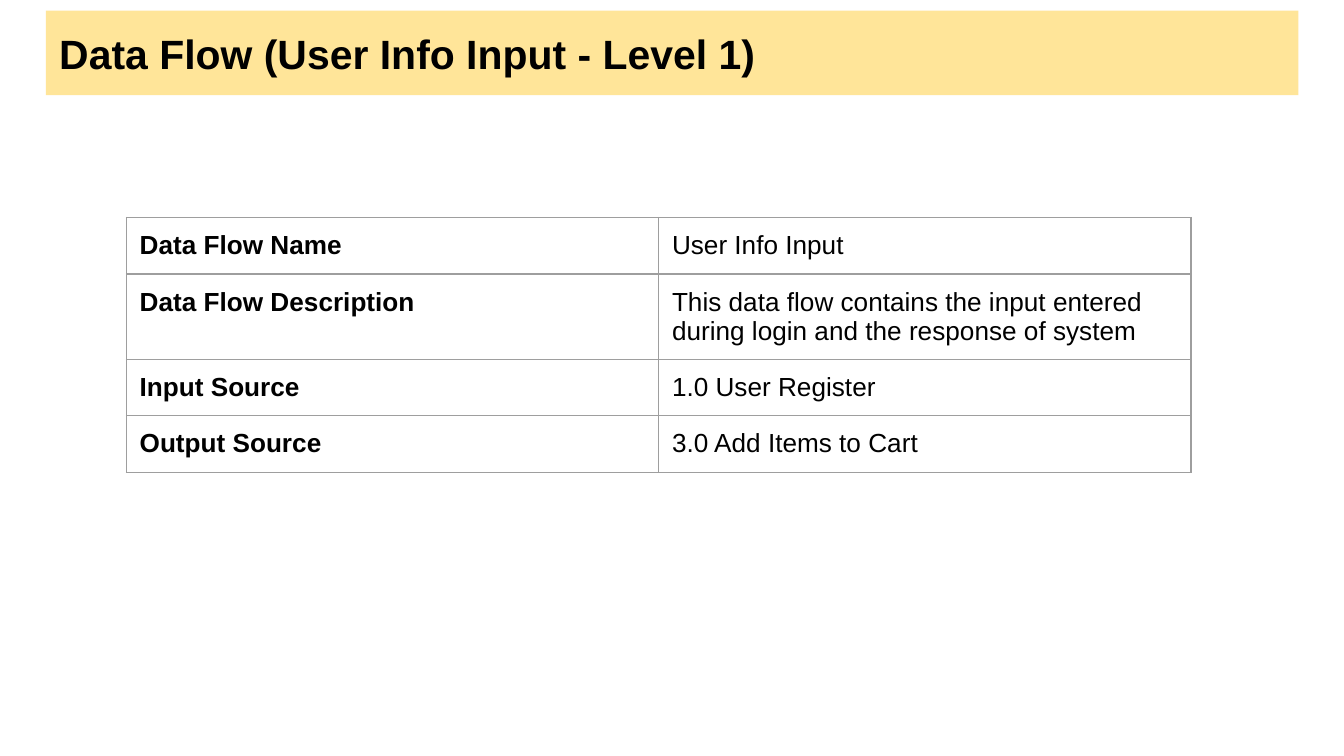
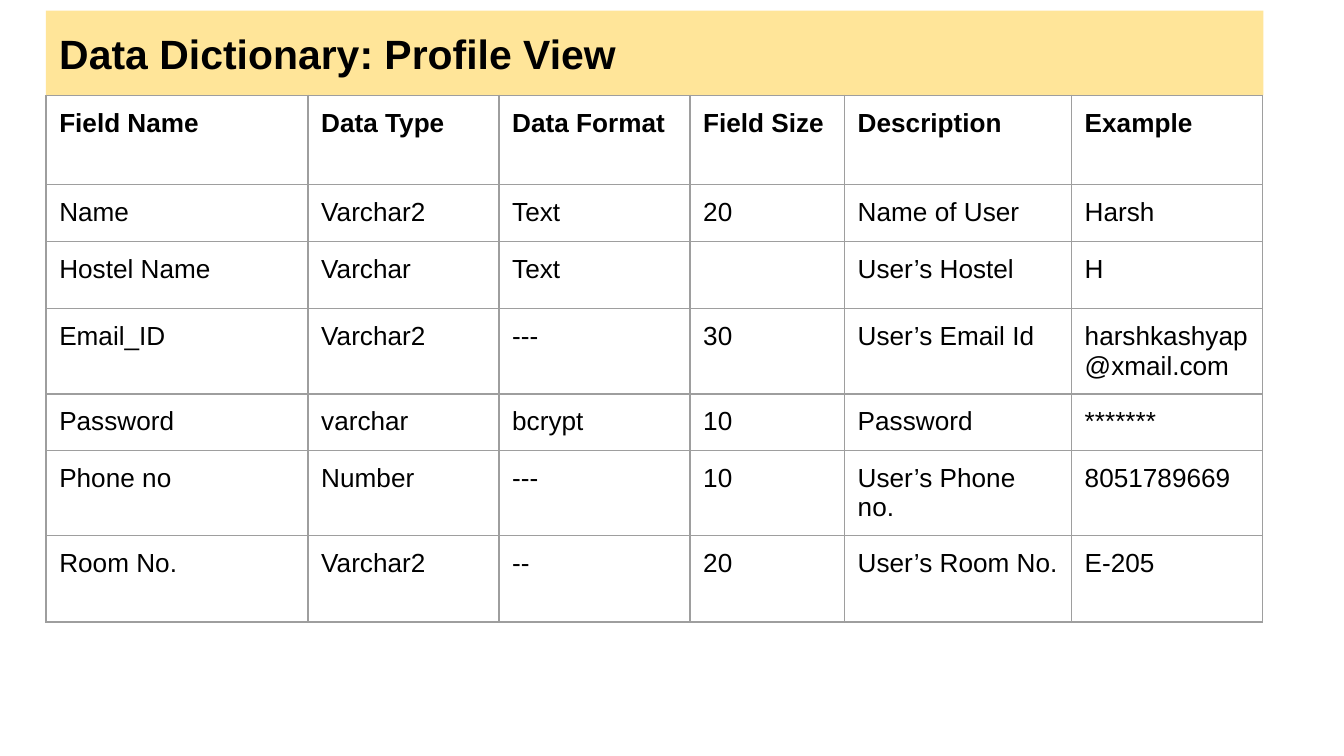
from lxml.etree import SubElement
from pptx import Presentation
from pptx.dml.color import RGBColor
from pptx.enum.shapes import MSO_SHAPE as Shape
from pptx.enum.text import MSO_ANCHOR as Anchor, PP_ALIGN as Align
from pptx.oxml.ns import qn
from pptx.util import Cm, Pt


def color(value):
    return RGBColor.from_string(value)


def write(frame, text, size=14, bold=False, font="Arial", ink="000000"):
    para = frame.paragraphs[0]
    para.alignment = Align.LEFT
    span = para.add_run()
    span.text = text
    span.font.name = font
    span.font.size = Pt(size)
    span.font.bold = bold
    span.font.color.rgb = color(ink)


class Builder:
    band = "FFE599"
    rule = "9E9E9E"
    left = 0.87
    top = 0.2
    band_height = 1.6
    inset = Cm(0.25)
    row_height = 1.07

    def __init__(self, deck):
        self.deck = deck
        self.page = None

    def new_page(self):
        self.page = self.deck.slides.add_slide(self.deck.slide_layouts[6])

    def pad(self, target):
        target.margin_left = target.margin_right = self.inset
        target.margin_top = target.margin_bottom = self.inset

    def title(self, text, width):
        box = self.page.shapes.add_shape(
            Shape.RECTANGLE, Cm(self.left), Cm(self.top), Cm(width), Cm(self.band_height))
        box.shadow.inherit = False
        box.fill.solid()
        box.fill.fore_color.rgb = color(self.band)
        box.line.fill.background()
        frame = box.text_frame
        frame.word_wrap = True
        frame.vertical_anchor = Anchor.MIDDLE
        self.pad(frame)
        write(frame, text, size=21.9, bold=True)

    def border(self, cell):
        props = cell._tc.get_or_add_tcPr()
        for side in ("a:lnL", "a:lnR", "a:lnT", "a:lnB"):
            line = SubElement(props, qn(side), w=str(Pt(0.75)))
            fill = SubElement(line, qn("a:solidFill"))
            SubElement(fill, qn("a:srgbClr"), val=self.rule)

    def table(self, rows, left, top, widths, heights=None, header_row=False):
        heights = heights or [self.row_height] * len(rows)
        table = self.page.shapes.add_table(
            len(rows), len(widths), Cm(left), Cm(top),
            Cm(sum(widths)), Cm(sum(heights))).table
        table.first_row = table.horz_banding = False
        for column, width in zip(table.columns, widths):
            column.width = Cm(width)
        for row, height in zip(table.rows, heights):
            row.height = Cm(height)
        for r, texts in enumerate(rows):
            for c, text in enumerate(texts):
                cell = table.cell(r, c)
                self.pad(cell)
                self.border(cell)
                cell.fill.background()
                if text:
                    heading = r == 0 if header_row else c == 0
                    write(cell.text_frame, text, bold=heading)


FLOW = [
    ("Data Flow Name", "User Info Input"),
    ("Data Flow Description",
     "This data flow contains the input entered during login and the response of system"),
    ("Input Source", "1.0 User Register"),
    ("Output Source", "3.0 Add Items to Cart"),
]

FIELDS = [
    ("Field Name", "Data Type", "Data Format", "Field Size", "Description", "Example"),
    ("Name", "Varchar2", "Text", "20", "Name of User", "Harsh"),
    ("Hostel Name", "Varchar", "Text", "", "User’s Hostel", "H"),
    ("Email_ID", "Varchar2", "---", "30", "User’s Email Id", "harshkashyap@xmail.com"),
    ("Password", "varchar", "bcrypt", "10", "Password", "*******"),
    ("Phone no", "Number", "---", "10", "User’s Phone no.", "8051789669"),
    ("Room No.", "Varchar2", "--", "20", "User’s Room No.", "E-205"),
]


def main():
    deck = Presentation()
    deck.slide_width = Cm(25.4)
    deck.slide_height = Cm(14.29)
    builder = Builder(deck)

    builder.new_page()
    builder.title("Data Flow (User Info Input - Level 1)", 23.67)
    builder.table(FLOW, 2.39, 4.11, [10.06] * 2)

    builder.new_page()
    builder.title("Data Dictionary: Profile View", 23.01)
    builder.table(
        FIELDS, builder.left, builder.top + builder.band_height,
        [4.95, 3.61, 3.61, 2.92, 4.29, 3.61],
        heights=[1.69] + [builder.row_height] * 5 + [1.63], header_row=True)

    deck.save("out.pptx")


if __name__ == "__main__":
    main()
